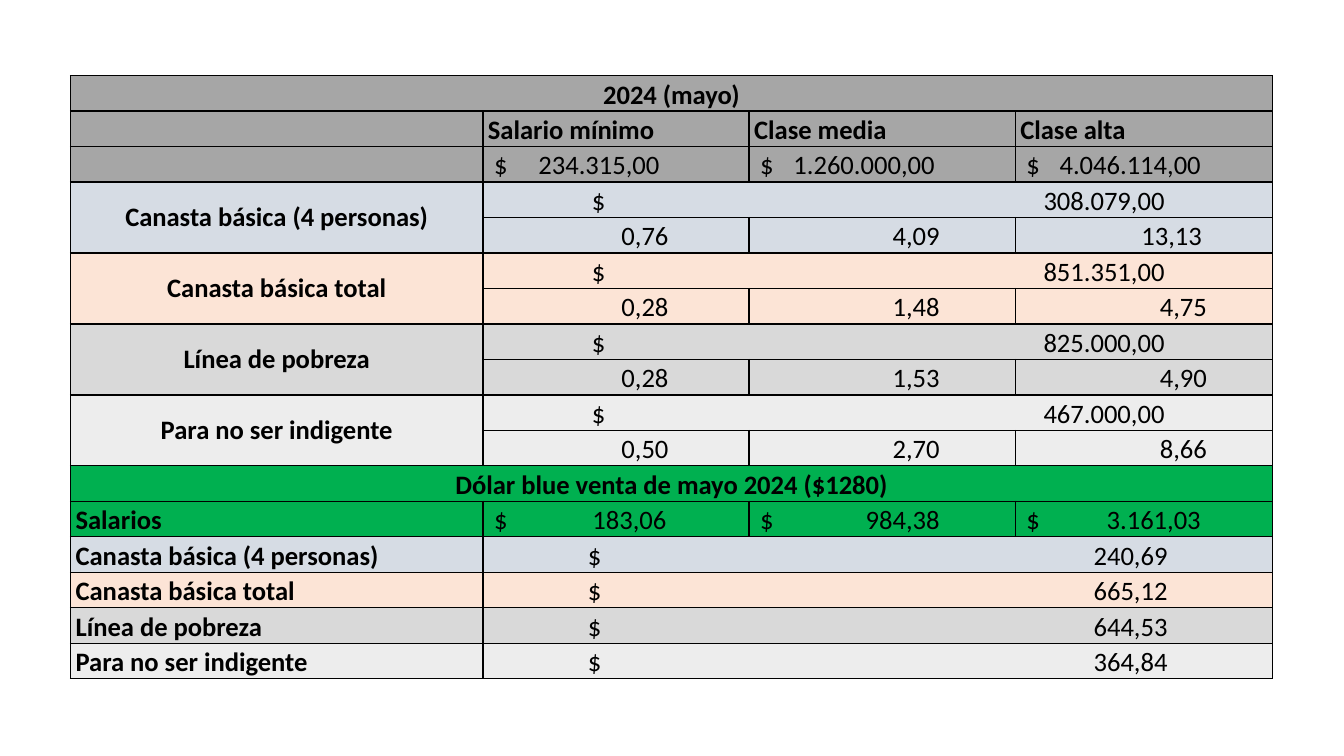
from pptx import Presentation
from pptx.dml.color import RGBColor
from pptx.enum.text import MSO_ANCHOR, PP_ALIGN
from pptx.oxml.ns import qn
from pptx.util import Inches, Pt
from lxml.etree import SubElement

GRAY, GREEN = "A6A6A6", "00B050"
WIDTHS = [4.09, 2.64, 2.64, 2.55]
ROWS = 17
TOTAL = 5.99
PAD = 0.05

HEADS = ["Salario mínimo", "Clase media", "Clase alta"]
WAGES = [("234.315,00", 1.64), ("1.260.000,00", 1.73), ("4.046.114,00", 1.73)]
DOLLAR = [("183,06", 1.71), ("984,38", 1.78), ("3.161,03", 1.73)]
GAPS = [0.8, 0.75, 0.65]
GROUPS = [
    ("Canasta básica (4 personas)", "D6DCE4", "308.079,00", ["0,76", "4,09", "13,13"], "240,69"),
    ("Canasta básica total", "FCE4D6", "851.351,00", ["0,28", "1,48", "4,75"], "665,12"),
    ("Línea de pobreza", "D9D9D9", "825.000,00", ["0,28", "1,53", "4,90"], "644,53"),
    ("Para no ser indigente", "EDEDED", "467.000,00", ["0,50", "2,70", "8,66"], "364,84"),
]


def color(code):
    return RGBColor.from_string(code)


class Sheet:
    font = "Calibri"
    size = 19
    ink = "000000"

    def __init__(self, deck):
        self.slide = deck.slides.add_slide(deck.slide_layouts[6])

    def grid(self, left, top):
        frame = self.slide.shapes.add_table(
            ROWS, len(WIDTHS), Inches(left), Inches(top), Inches(sum(WIDTHS)), Inches(TOTAL))
        self.table = frame.table
        self.table.first_row = False
        self.table.horz_banding = False
        for col, width in zip(self.table.columns, WIDTHS):
            col.width = Inches(width)
        for row in self.table.rows:
            row.height = Inches(TOTAL / ROWS)
            for cell in row.cells:
                cell.margin_left = cell.margin_right = Inches(PAD)
                cell.margin_top = cell.margin_bottom = 0
                cell.vertical_anchor = MSO_ANCHOR.BOTTOM
                self.border(cell)

    def border(self, cell):
        props = cell._tc.get_or_add_tcPr()
        for side in ("lnL", "lnR", "lnT", "lnB"):
            line = SubElement(props, qn("a:" + side), w=str(Pt(1)))
            fill = SubElement(line, qn("a:solidFill"))
            SubElement(fill, qn("a:srgbClr"), val=self.ink)

    def band(self, row, fill):
        for cell in self.table.rows[row].cells:
            cell.fill.solid()
            cell.fill.fore_color.rgb = color(fill)

    def merge(self, row, col, last_row, last_col):
        self.table.cell(row, col).merge(self.table.cell(last_row, last_col))

    def text(self, row, col, words, align=PP_ALIGN.LEFT, bold=False):
        cell = self.table.cell(row, col)
        para = cell.text_frame.paragraphs[0]
        para.alignment = align
        run = para.add_run()
        run.text = words
        run.font.name = self.font
        run.font.size = Pt(self.size)
        run.font.bold = bold
        run.font.color.rgb = color(self.ink)
        return cell

    def title(self, row, words):
        self.merge(row, 0, row, 3)
        self.text(row, 0, words, PP_ALIGN.CENTER, True)

    def money(self, row, col, value, stop, inset=0.11):
        cell = self.text(row, col, "$\t" + value)
        cell.margin_left = Inches(inset)
        props = cell.text_frame.paragraphs[0]._p.get_or_add_pPr()
        tabs = SubElement(props, qn("a:tabLst"))
        SubElement(tabs, qn("a:tab"), pos=str(Inches(stop)), algn="r")

    def wide(self, row, value, stop, inset):
        self.merge(row, 1, row, 3)
        self.money(row, 1, value, stop, inset)

    def ratio(self, row, col, value, gap):
        cell = self.text(row, col, value, PP_ALIGN.RIGHT)
        cell.margin_right = Inches(gap)


def main():
    deck = Presentation()
    deck.slide_width, deck.slide_height = Inches(13.33), Inches(7.5)
    sheet = Sheet(deck)
    sheet.grid(0.7, 0.75)

    for row in range(3):
        sheet.band(row, GRAY)
    sheet.title(0, "2024 (mayo)")
    for col, head in enumerate(HEADS, 1):
        sheet.text(1, col, head, bold=True)

    for row in (11, 12):
        sheet.band(row, GREEN)
    sheet.title(11, "Dólar blue venta de mayo 2024 ($1280)")
    sheet.text(12, 0, "Salarios", bold=True)
    for row, sums in ((2, WAGES), (12, DOLLAR)):
        for col, (value, stop) in enumerate(sums, 1):
            sheet.money(row, col, value, stop)

    for i, (name, fill, pesos, rates, price) in enumerate(GROUPS):
        top, low = 3 + 2 * i, 13 + i
        for row in (top, top + 1, low):
            sheet.band(row, fill)
        sheet.merge(top, 0, top + 1, 0)
        label = sheet.text(top, 0, name, PP_ALIGN.CENTER, True)
        label.vertical_anchor = MSO_ANCHOR.MIDDLE
        sheet.wide(top, pesos, 5.68, 1.08)
        for col, (rate, gap) in enumerate(zip(rates, GAPS), 1):
            sheet.ratio(top + 1, col, rate, gap + PAD * (rate == "13,13"))
        sheet.text(low, 0, name, bold=True)
        sheet.wide(low, price, 5.75, 1.04)

    deck.save("out.pptx")


if __name__ == "__main__":
    main()
